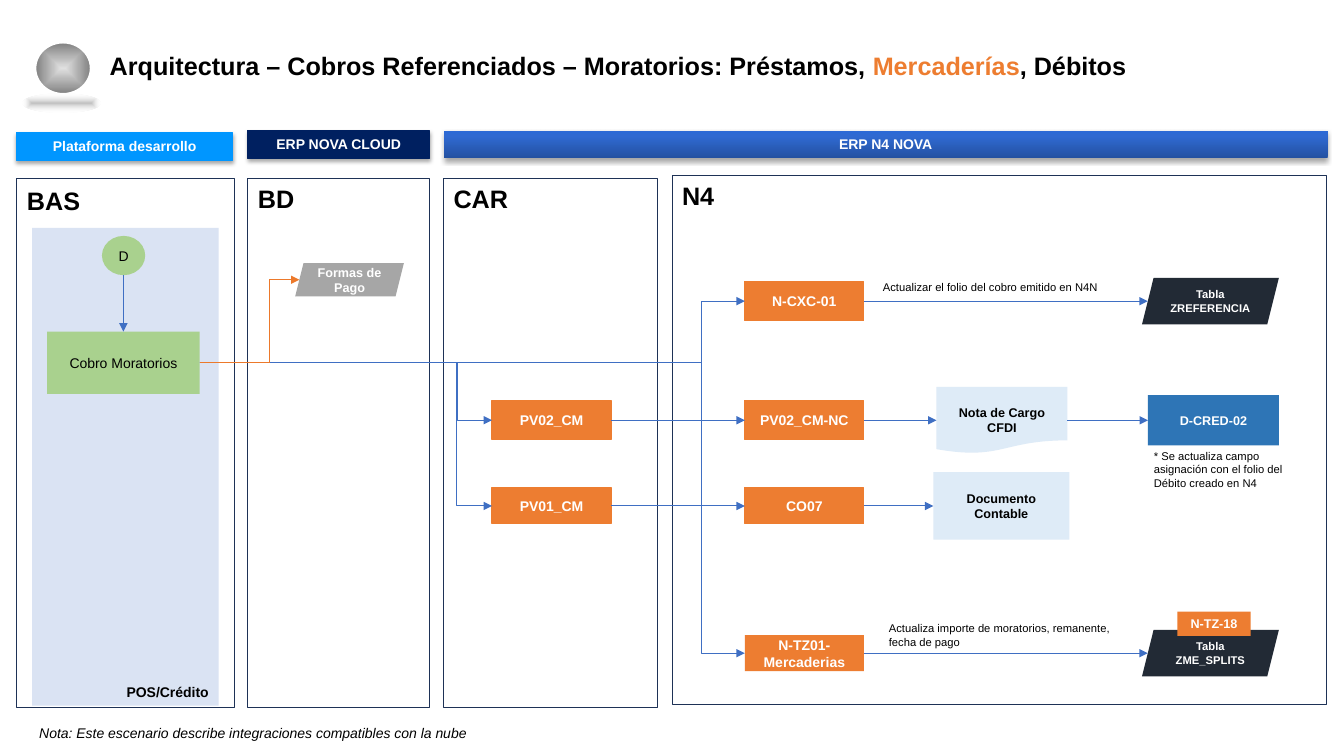
"""Builds the architecture slide for referenced collections and late charges."""
from pptx import Presentation
from pptx.dml.color import RGBColor
from pptx.enum.shapes import MSO_CONNECTOR as LINK, MSO_SHAPE as SHAPE
from pptx.enum.text import MSO_ANCHOR as ANCHOR, PP_ALIGN as ALIGN
from pptx.oxml import parse_xml
from pptx.oxml.ns import nsdecls, qn
from pptx.util import Cm, Pt

TITLE = [("Arquitectura – Cobros Referenciados – Moratorios: Préstamos, ", "000000"),
         ("Mercaderías", "ED7D30"), (", Débitos", "000000")]
BLUE, ORANGE, WHITE, BLACK = "3F6FC3", "EC792B", "FFFFFF", "000000"

PANEL = dict(line="1E3256", size=18, color=BLACK, anchor=ANCHOR.TOP, align=ALIGN.LEFT)
HEADER = dict(anchor=ANCHOR.TOP, shadow=True)
STEP = dict(fill="ED7D31", line="ED7D30")
TAG = dict(fill="ED7D31")
START = dict(fill="A9D18E", color=BLACK, bold=False)
TABLE = dict(geometry=SHAPE.PARALLELOGRAM, fill="222A35", size=8)
PAPER = dict(fill="DEEBF7", color=BLACK, size=9)
LABEL = dict(color=BLACK, bold=False, size=8, anchor=ANCHOR.TOP, align=ALIGN.LEFT)

BALL = ([(0, "E0E0E0", 100), (100, "808080", 100)], None)
GROUND = ([(0, "808080", 50), (100, "FFFFFF", 0)], None)
BAR = ([(0, "2451A1", 100), (80, "2F69D1", 100), (100, "2C69D5", 100)], 270)

FRAME = [
    ("", 0.89, 1.07, 1.4, 1.3, dict(geometry=SHAPE.OVAL, gradient=BALL, line=WHITE, weight=1.5)),
    ("", 0.56, 2.36, 1.96, 0.48, dict(geometry=SHAPE.OVAL, gradient=GROUND)),
    ("POS/Crédito", 0.81, 5.74, 4.7, 12.04,
     dict(fill="DAE3F3", color=BLACK, anchor=ANCHOR.BOTTOM, align=ALIGN.RIGHT)),
    ("", 0.41, 4.5, 5.51, 13.34, PANEL),
    ("BD", 6.25, 4.5, 4.57, 13.34, PANEL),
    ("CAR", 11.18, 4.5, 5.38, 13.34, PANEL),
    ("N4", 16.94, 4.42, 16.48, 13.34, PANEL),
    ("Plataforma desarrollo", 0.41, 3.35, 5.46, 0.69, dict(HEADER, fill="0096FF", line="0096FF")),
    ("ERP NOVA CLOUD", 6.25, 3.3, 4.57, 0.69, dict(HEADER, fill="002060", line="002060")),
    ("ERP N4 NOVA", 11.18, 3.3, 22.28, 0.69, dict(HEADER, gradient=BAR)),
]

LABELS = [
    ("BAS", 0.43, 4.55, 4.29, 1.02, dict(size=18, bold=True)),
    ("Nota: Este escenario describe integraciones compatibles con la nube",
     0.74, 18.14, 14.58, 0.69, dict(size=10, italic=True)),
    ("Actualizar el folio del cobro emitido en N4N", 22, 6.93, 6.76, 0.61, {}),
    ("Actualiza importe de moratorios, remanente, fecha de pago", 22.15, 15.54, 6.76, 0.94, {}),
    ("* Se actualiza campo asignación con el folio del Débito creado en N4",
     28.83, 11.2, 3.84, 1.27, {}),
]

ROW = dict(folio=7.59, cargo=10.59, contable=12.75, splits=16.46)
CAR_X, CORE_X, TABLE_X, STEP_W = 12.4, 18.77, 28.78, 3
NODES = {
    "inicio": ("D", 2.57, 6.44, 1.09, 0.99, dict(START, geometry=SHAPE.OVAL)),
    "cobro": ("Cobro Moratorios", 1.19, 9.14, 3.84, 1.57, START),
    "formas": ("Formas de Pago", 7.44, 7.05, 2.74, 0.84,
               dict(geometry=SHAPE.PARALLELOGRAM, fill="A6A6A6", size=9)),
    "pv02": ("PV02_CM", CAR_X, ROW["cargo"], STEP_W, 0.99, STEP),
    "pv01": ("PV01_CM", CAR_X, ROW["contable"], STEP_W, 0.91, STEP),
    "cxc": ("N-CXC-01", CORE_X, ROW["folio"], STEP_W, 0.99, STEP),
    "nc": ("PV02_CM-NC", CORE_X, ROW["cargo"], STEP_W, 0.99, STEP),
    "co07": ("CO07", CORE_X, ROW["contable"], STEP_W, 0.91, STEP),
    "tz01": ("N-TZ01-Mercaderias", CORE_X, ROW["splits"], STEP_W, 0.91, TAG),
    "nota": ("Nota de Cargo CFDI", 23.6, ROW["cargo"], 3.3, 1.68,
             dict(PAPER, geometry=SHAPE.FLOWCHART_DOCUMENT, anchor=ANCHOR.BOTTOM)),
    "documento": ("Documento Contable", 23.52, ROW["contable"], 3.43, 1.7, PAPER),
    "referencia": ("Tabla ZREFERENCIA", TABLE_X, ROW["folio"], 3.45, 1.17, TABLE),
    "cred": ("D-CRED-02", 28.93, ROW["cargo"], 3.3, 1.27, dict(fill="2E75B6", size=9)),
    "splits": ("Tabla ZME_SPLITS", TABLE_X, ROW["splits"], 3.45, 1.17, TABLE),
    "tz18": ("N-TZ-18", 29.67, 15.72, 1.85, 0.61, dict(TAG, size=9)),
}

FLOWS = [("pv01", "co07"), ("co07", "documento"), ("pv02", "nc"), ("nc", "nota"),
         ("nota", "cred"), ("cxc", "referencia"), ("tz01", "splits")]
BRANCHES = [("pv02", 0.881, BLUE), ("pv01", 0.878, BLUE), ("tz01", 0.92, BLUE),
            ("cxc", 0.92, BLUE), ("formas", 0.7, ORANGE)]


def rgb(code):
    return RGBColor.from_string(code)


def assign(target, **values):
    for name, value in values.items():
        setattr(target, name, value)


def write(frame, text, size=10, color=WHITE, bold=True, italic=False,
          anchor=ANCHOR.MIDDLE, align=ALIGN.CENTER):
    assign(frame, word_wrap=True, vertical_anchor=anchor)
    paragraph = frame.paragraphs[0]
    paragraph.alignment = align
    run = paragraph.add_run()
    run.text = text
    assign(run.font, name="Arial", size=Pt(size), bold=bold, italic=italic)
    run.font.color.rgb = rgb(color)


def add_gradient(shape, stops, angle):
    marks = "".join(f'<a:gs pos="{at * 1000}"><a:srgbClr val="{code}">'
                    f'<a:alpha val="{alpha * 1000}"/></a:srgbClr></a:gs>'
                    for at, code, alpha in stops)
    course = (f'<a:lin ang="{angle * 60000}" scaled="0"/>' if angle is not None else
              '<a:path path="rect"><a:fillToRect l="50000" t="50000" r="50000" b="50000"/></a:path>')
    properties = shape.element.spPr
    properties.replace(properties.find(qn("a:noFill")), parse_xml(
        f'<a:gradFill {nsdecls("a")}><a:gsLst>{marks}</a:gsLst>{course}</a:gradFill>'))


def add_box(slide, text, x, y, w, h, geometry=SHAPE.RECTANGLE, fill=None, gradient=None,
            line=None, weight=0.75, shadow=False, **style):
    box = slide.shapes.add_shape(geometry, Cm(x), Cm(y), Cm(w), Cm(h))
    box.shadow.inherit = False
    if fill:
        box.fill.solid()
        box.fill.fore_color.rgb = rgb(fill)
    else:
        box.fill.background()
    if gradient:
        add_gradient(box, *gradient)
    if line:
        box.line.color.rgb = rgb(line)
        box.line.width = Pt(weight)
    else:
        box.line.fill.background()
    if shadow:
        box.element.spPr.find(qn("a:effectLst")).append(parse_xml(
            f'<a:outerShdw {nsdecls("a")} blurRad="{Pt(3.1)}" dist="{Pt(1.8)}" dir="5400000">'
            '<a:srgbClr val="000000"><a:alpha val="35000"/></a:srgbClr></a:outerShdw>'))
    if text:
        write(box.text_frame, text, **style)
    return box


def add_arrow(slide, begin, end, bend=None, color=BLUE):
    kind = LINK.STRAIGHT if bend is None else LINK.ELBOW
    arrow = slide.shapes.add_connector(kind, *begin, *end)
    arrow.line.color.rgb = rgb(color)
    arrow.line.width = Pt(0.75)
    properties = arrow.element.spPr
    arrow.line._get_or_add_ln().append(parse_xml(f'<a:tailEnd {nsdecls("a")} type="triangle"/>'))
    properties.append(parse_xml(f'<a:effectLst {nsdecls("a")}/>'))
    if bend is not None:
        guides = properties.find(qn("a:prstGeom")).get_or_add_avLst()
        guides.append(parse_xml(
            f'<a:gd {nsdecls("a")} name="adj1" fmla="val {round(bend * 100000)}"/>'))
    return arrow


def join(slide, source, target, bend=None, color=BLUE):
    slanted = target.auto_shape_type == SHAPE.PARALLELOGRAM
    inset = target.height // 8 if slanted else 0
    begin = source.left + source.width, source.top + source.height // 2
    end = target.left + inset, target.top + target.height // 2
    arrow = add_arrow(slide, begin, end, bend, color)
    arrow.begin_connect(source, 3)
    if not slanted:
        arrow.end_connect(target, 1)


def main():
    deck = Presentation()
    assign(deck, slide_width=Cm(33.87), slide_height=Cm(19.05))
    slide = deck.slides.add_slide(deck.slide_layouts[5])

    title = slide.shapes.title
    assign(title, left=Cm(2.51), top=Cm(1.22), width=Cm(28.27), height=Cm(0.94))
    for text, color in TITLE:
        write(title.text_frame, text, size=18, color=color, anchor=ANCHOR.TOP, align=ALIGN.LEFT)
    title.text_frame.paragraphs[0].line_spacing = 0.9

    for text, x, y, w, h, style in FRAME:
        add_box(slide, text, x, y, w, h, **style)
    nodes = {key: add_box(slide, text, x, middle - h / 2, w, h, **style)
             for key, (text, x, middle, w, h, style) in NODES.items()}
    for text, x, y, w, h, style in LABELS:
        label = slide.shapes.add_textbox(Cm(x), Cm(y), Cm(w), Cm(h))
        write(label.text_frame, text, **{**LABEL, **style})

    start, charge = nodes["inicio"], nodes["cobro"]
    center = charge.left + charge.width // 2
    add_arrow(slide, (center, start.top + start.height),
              (center, charge.top)).end_connect(charge, 0)
    for source, target in FLOWS:
        join(slide, nodes[source], nodes[target])
    for target, bend, color in BRANCHES:
        join(slide, charge, nodes[target], bend, color)

    deck.save("out.pptx")


if __name__ == "__main__":
    main()
